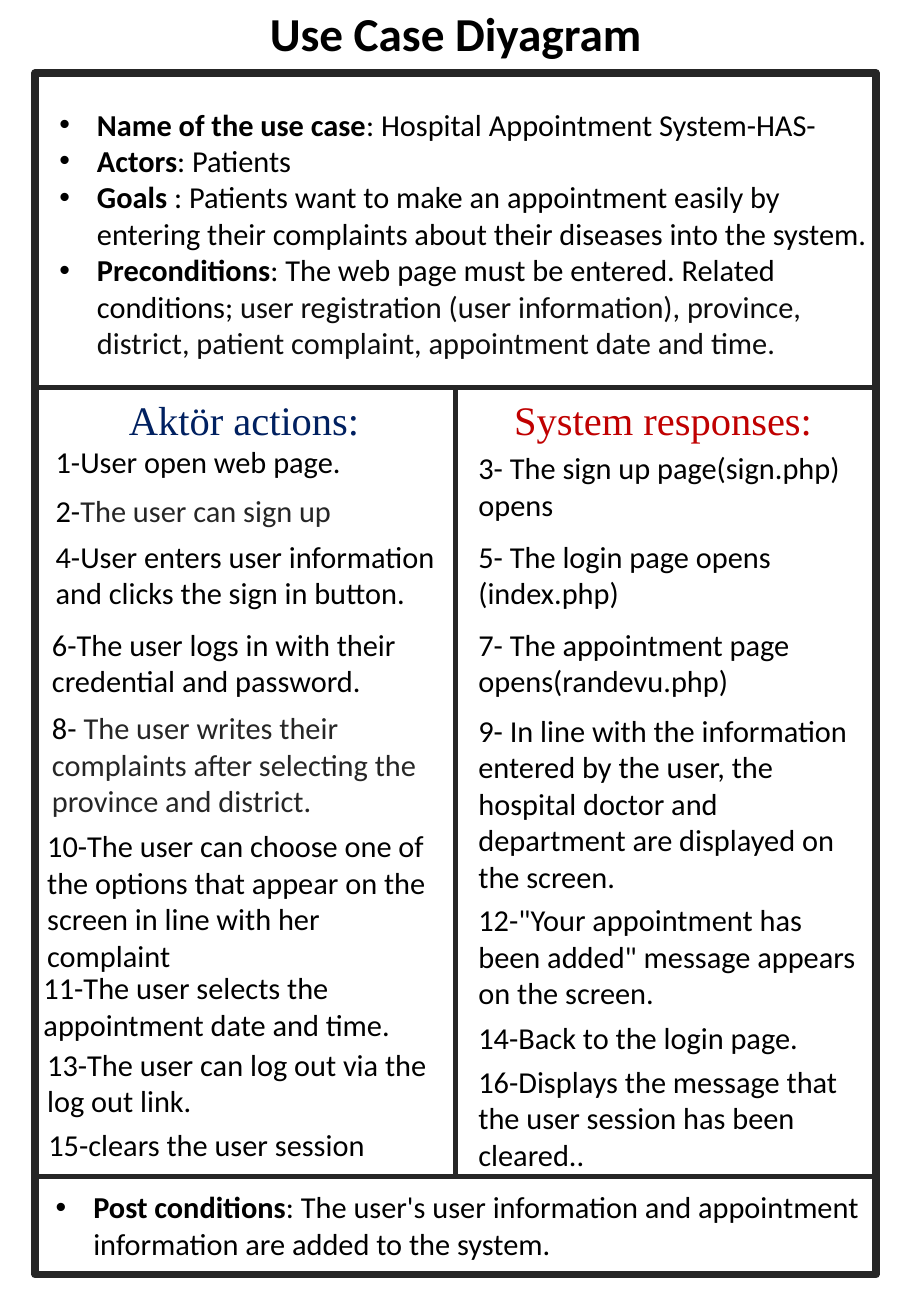
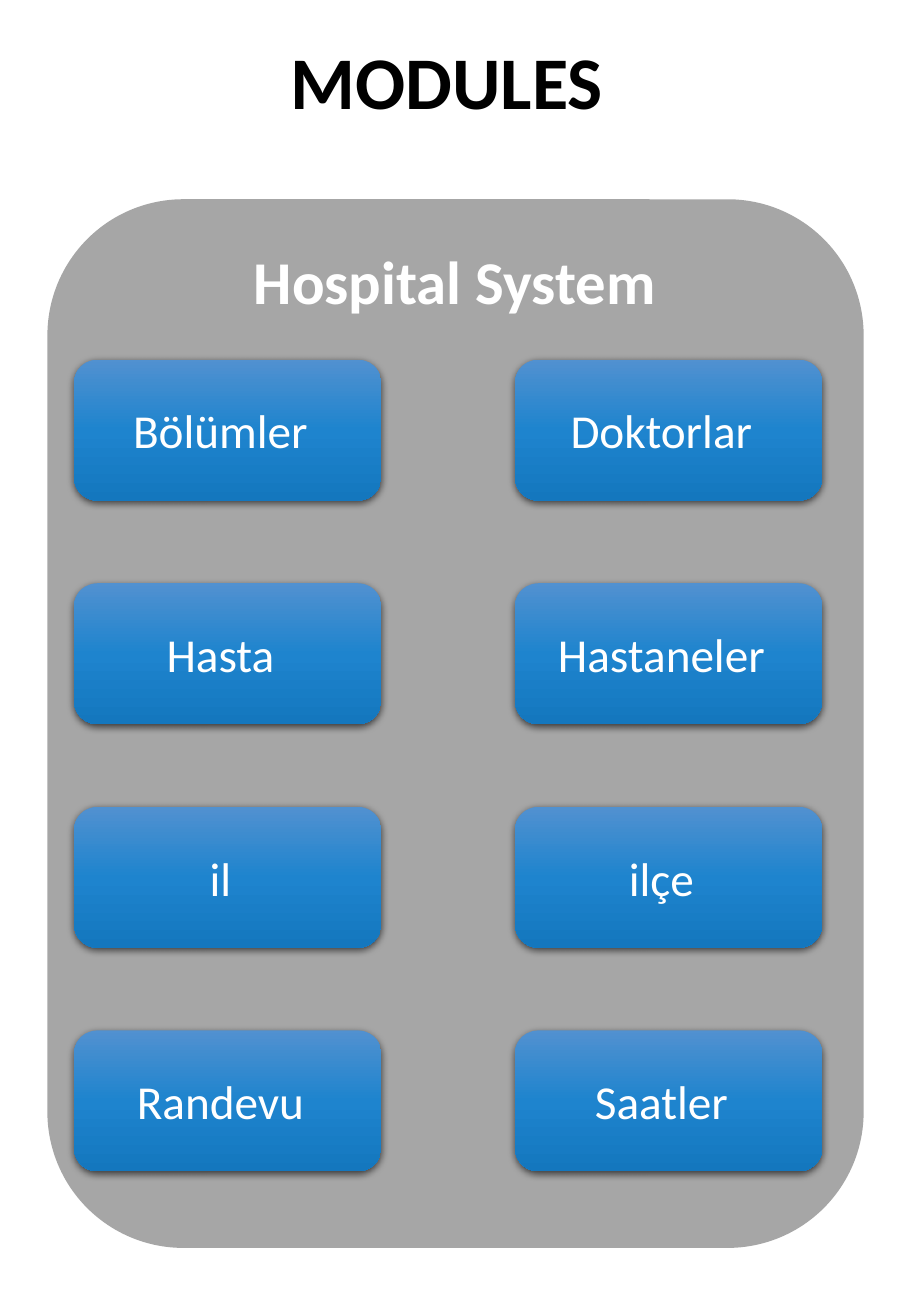
from copy import deepcopy
from dataclasses import dataclass

from lxml import etree
from pptx import Presentation
from pptx.dml.color import RGBColor
from pptx.enum.shapes import MSO_CONNECTOR, MSO_SHAPE
from pptx.enum.text import MSO_ANCHOR, MSO_AUTO_SIZE, PP_ALIGN
from pptx.oxml.ns import qn
from pptx.util import Inches, Pt

RECT, ROUND = MSO_SHAPE.RECTANGLE, MSO_SHAPE.ROUNDED_RECTANGLE
STRAIGHT = MSO_CONNECTOR.STRAIGHT
LEFT, CENTER = PP_ALIGN.LEFT, PP_ALIGN.CENTER
TOP, MIDDLE = MSO_ANCHOR.TOP, MSO_ANCHOR.MIDDLE
NO_FIT = MSO_AUTO_SIZE.NONE


@dataclass(frozen=True)
class Theme:
    # Colours
    black: str = "000000"
    white: str = "FFFFFF"
    dark: str = "262626"
    ink: str = "0D0D0D"
    navy: str = "002060"
    red: str = "C00000"
    gray: str = "A6A6A6"
    blues: tuple = ((0, "5191D0"), (0.5, "1E84CE"), (1, "1477BE"))
    # Type
    sans: str = "Calibri"
    serif: str = "Times New Roman"
    body: int = 18
    head: int = 24
    label: int = 28
    panel: int = 36
    big: int = 44


THEME = Theme()


def rgb(code):
    return RGBColor.from_string(code)


class Deck:
    """Holds the theme and the current slide."""

    def __init__(self, theme, width, height):
        self.theme = theme
        self.prs = Presentation()
        self.prs.slide_width, self.prs.slide_height = Inches(width), Inches(height)
        self.slide = None

    def title(self, text, box, size):
        """Start a slide with its title."""
        self.slide = self.prs.slides.add_slide(self.prs.slide_layouts[5])
        shape = self.slide.shapes.title
        places = dict(zip(("left", "top", "width", "height"), map(Inches, box)))
        for name, value in places.items():
            setattr(shape, name, value)
        self.fill(shape, [text], size=size, bold=True, align=CENTER, anchor=MIDDLE)

    def fill(self, shape, paras, size=None, color=None, font=None, bold=False,
             align=LEFT, anchor=TOP, bullet=False):
        """Fill a shape with paragraphs: strings, or lists of (text, format)."""
        theme, frame = self.theme, shape.text_frame
        frame.word_wrap, frame.auto_size = True, NO_FIT
        frame.vertical_anchor = anchor
        for i, runs in enumerate(paras):
            para = frame.add_paragraph() if i else frame.paragraphs[0]
            para.alignment = align
            if bullet:
                self.bullet(para)
            for text, extra in [(runs, {})] if isinstance(runs, str) else runs:
                run = para.add_run()
                run.text = text
                look = {"name": font or theme.sans, "size": Pt(size or theme.body),
                        "bold": extra.get("bold", bold)}
                for name, value in look.items():
                    setattr(run.font, name, value)
                run.font.color.rgb = rgb(extra.get("color", color or theme.black))

    def bullet(self, para):
        props = para._p.get_or_add_pPr()
        props.set("marL", str(Inches(0.31)))
        props.set("indent", str(-Inches(0.31)))
        etree.SubElement(props, qn("a:buFont"), typeface="Arial")
        etree.SubElement(props, qn("a:buChar"), char="•")

    def text(self, box, paras, **look):
        shape = self.slide.shapes.add_textbox(*map(Inches, box))
        self.fill(shape, paras, **look)

    def block(self, kind, box, fill=None, line=None, weight=0):
        shape = self.slide.shapes.add_shape(kind, *map(Inches, box))
        shape.shadow.inherit = False
        if fill:
            shape.fill.solid()
            shape.fill.fore_color.rgb = rgb(fill)
        if line:
            shape.line.color.rgb = rgb(line)
            shape.line.width = Pt(weight)
        else:
            shape.line.fill.background()
        return shape

    def tile(self, box, text):
        """A glossy module button with its label."""
        shape = self.block(ROUND, box)
        # Gradient with one stop per blue
        shape.fill.gradient()
        shape.fill.gradient_angle = 270
        stops = shape._element.spPr.find(qn("a:gradFill")).find(qn("a:gsLst"))
        stops.append(deepcopy(stops[-1]))
        for stop, (place, color) in zip(shape.fill.gradient_stops, self.theme.blues):
            stop.position = place
            stop.color.rgb = rgb(color)
        # Soft shadow below
        effects = shape._element.spPr.find(qn("a:effectLst"))
        shade = etree.SubElement(effects, qn("a:outerShdw"), blurRad=str(Pt(4.5)),
                                 dist=str(Pt(1.5)), dir="5400000", rotWithShape="0")
        tone = etree.SubElement(shade, qn("a:srgbClr"), val=self.theme.black)
        etree.SubElement(tone, qn("a:alpha"), val="63000")
        # Label, a little left of centre
        frame = shape.text_frame
        frame.margin_left, frame.margin_right = 0, Inches(0.12)
        self.fill(shape, [text], size=self.theme.label, color=self.theme.white,
                  align=CENTER, anchor=MIDDLE)

    def rule(self, x1, y1, x2, y2):
        line = self.slide.shapes.add_connector(STRAIGHT, *map(Inches, (x1, y1, x2, y2)))
        line.line.color.rgb = rgb(self.theme.dark)
        line.line.width = Pt(3)
        etree.SubElement(line._element.spPr, qn("a:effectLst"))


BOLD, DARK, INK = {"bold": True}, {"color": THEME.dark}, {"color": THEME.ink}

FACTS = [
    [("Name of the use case", BOLD), (": Hospital Appointment System-HAS-", {})],
    [("Actors", BOLD), (": Patients", {})],
    [("Goals ", BOLD), (": Patients want to make an appointment easily by entering "
                        "their complaints about their diseases into the system.", {})],
    [("Preconditions", BOLD),
     (": The web page must be entered. Related conditions; ", {}),
     ("user registration (user information), province, district, patient "
      "complaint, appointment date and time.", INK)],
]
AFTER = [[("Post conditions", BOLD),
          (": The user's user information and appointment information are added "
           "to the system.", {})]]

# Steps: left, top, number of lines, paragraphs
ACTIONS = [
    (0.36, 3.6, 1, ["1-User open web page."]),
    (0.36, 4, 1, [[("2-", {}), ("The user can sign up", DARK)]]),
    (0.36, 4.38, 2, ["4-User enters user information and clicks the sign in button."]),
    (0.33, 5.1, 2, ["6-The user logs in with their credential and password."]),
    (0.33, 5.79, 3, [[("8- ", {}), ("The user writes their complaints after selecting "
                                    "the province and district.", DARK)]]),
    (0.29, 6.76, 4, ["10-The user can choose one of the options that appear on the "
                     "screen in line with her complaint"]),
    (0.26, 7.93, 2, ["11-The user selects the appointment date and time."]),
    (0.29, 8.56, 2, ["13-The user can log out via the log out link."]),
    (0.3, 9.22, 1, ["15-clears the user session"]),
]
REPLIES = [(3.84, *step) for step in (
    (3.65, 2, ["3- The sign up page(sign.php) opens"]),
    (4.38, 2, ["5- The login page opens", "(index.php)"]),
    (5.1, 2, ["7- The appointment page opens(randevu.php)"]),
    (5.81, 5, ["9- In line with the information entered by the user, the hospital "
               "doctor and department are displayed on the screen."]),
    (7.37, 3, ['12-"Your appointment has been added" message appears on the screen.']),
    (8.34, 1, ["14-Back to the login page."]),
    (8.7, 3, ["16-Displays the message that the user session has been cleared.."]),
)]
PARTS = [("Bölümler", "Doktorlar"), ("Hasta", "Hastaneler"), ("il", "ilçe"),
         ("Randevu", "Saatler")]


def use_case(deck):
    theme = deck.theme
    deck.title("Use Case Diyagram", (2.07, 0, 3.36, 0.53), theme.label)

    # Frame and rules
    left, right, upper, lower = 0.29, 7.21, 3.19, 9.68
    deck.block(RECT, (left, 0.6, right - left, 9.89), theme.white, theme.dark, 4.5)
    for y in (upper, lower):
        deck.rule(left, y, right, y)
    deck.rule(3.75, upper, 3.75, lower)

    # Conditions
    deck.text((0.39, 0.82, 6.92, 2.22), FACTS, bullet=True)
    deck.text((0.36, 9.73, 7.11, 0.71), AFTER, bullet=True)

    # Column heads
    for x, wide, head, color in ((0.81, 2.4, "Aktör actions:", theme.navy),
                                 (3.71, 3.5, "System responses:", theme.red)):
        deck.text((x, 3.2, wide, 0.5), [head], size=theme.head, color=color,
                  font=theme.serif, align=CENTER)

    # Steps
    for x, y, lines, paras in ACTIONS + REPLIES:
        deck.text((x, y, 3.4, 0.1 + 0.3 * lines), paras)


def modules(deck):
    theme = deck.theme
    deck.title("MODULES", (0.32, 0.24, 6.72, 0.84), theme.big)

    # Panel
    deck.block(ROUND, (0.39, 1.64, 6.72, 8.63), theme.gray)
    deck.text((1.61, 1.96, 4.27, 0.71), ["Hospital System"], size=theme.panel,
              color=theme.white, bold=True, align=CENTER)

    # Grid of tiles
    for row, names in enumerate(PARTS):
        for col, name in enumerate(names):
            deck.tile((0.61 + 3.63 * col, 2.96 + 1.84 * row, 2.53, 1.16), name)


def main():
    deck = Deck(THEME, 7.5, 10.83)
    use_case(deck)
    modules(deck)
    deck.prs.save("out.pptx")


if __name__ == "__main__":
    main()
